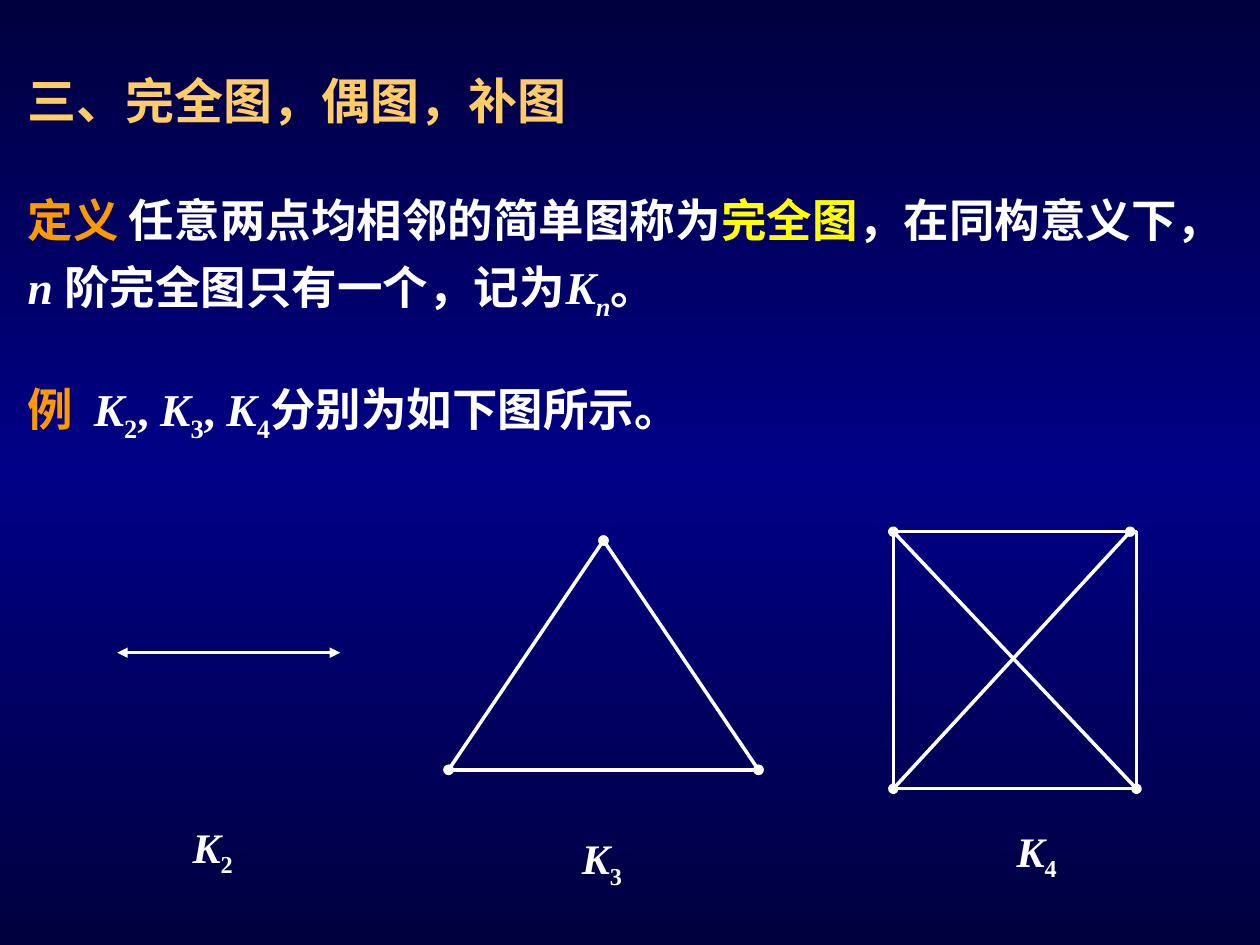
from itertools import combinations

from pptx import Presentation
from pptx.dml.color import RGBColor
from pptx.enum.shapes import MSO_CONNECTOR, MSO_SHAPE
from pptx.enum.text import MSO_ANCHOR, MSO_AUTO_SIZE, PP_ALIGN
from pptx.oxml.ns import qn
from pptx.util import Inches, Pt
from copy import deepcopy
from lxml.etree import SubElement

WHITE = RGBColor(0xFF, 0xFF, 0xFF)
GOLD = RGBColor(0xFF, 0xCC, 0x66)
ORANGE = RGBColor(0xFF, 0x99, 0x00)
YELLOW = RGBColor(0xFF, 0xFF, 0x00)
NAVY = RGBColor(0x00, 0x00, 0x3E)
BLUE = RGBColor(0x00, 0x00, 0x86)
SANS = "Noto Sans CJK SC"
SERIF = "Times New Roman"


class Deck:
    width = Pt(2)
    ink = WHITE

    def __init__(self, slide):
        self.slide = slide

    def back(self, colors):
        fill = self.slide.background.fill
        fill.gradient()
        fill.gradient_angle = 90
        stops = self.slide.element.find(".//" + qn("a:gsLst"))
        while len(stops) < len(colors):
            stops.append(deepcopy(stops[-1]))
        for i, (stop, color) in enumerate(zip(fill.gradient_stops, colors)):
            stop.color.rgb = color
            stop.position = i / (len(colors) - 1)

    def style(self, run, size, color=WHITE, face=SANS, slant=False, sub=False):
        font = run.font
        font.size = Pt(size)
        font.bold = True
        font.italic = slant
        font.name = face
        font.color.rgb = color
        props = font._element
        SubElement(props, qn("a:ea")).set("typeface", SANS)
        if sub:
            props.set("baseline", "-25000")

    def place(self, shape, box):
        shape.left, shape.top, shape.width, shape.height = map(Inches, box)

    def title(self, box, text, size, color):
        shape = self.slide.shapes.title
        self.place(shape, box)
        frame = shape.text_frame
        frame.text = text
        frame.word_wrap = True
        frame.auto_size = MSO_AUTO_SIZE.NONE
        frame.vertical_anchor = MSO_ANCHOR.TOP
        para = frame.paragraphs[0]
        para.alignment = PP_ALIGN.LEFT
        self.style(para.runs[0], size, color)

    def text(self, box, parts, size, lead=None, before=None):
        frame = self.slide.shapes.add_textbox(*map(Inches, box)).text_frame
        frame.word_wrap = True
        para = frame.paragraphs[0]
        para.line_spacing = lead
        para.space_before = before
        for words, look in parts:
            run = para.add_run()
            run.text = words
            self.style(run, size, **look)

    def line(self, start, end, tip):
        shape = self.slide.shapes.add_connector(
            MSO_CONNECTOR.STRAIGHT, *map(Inches, start + end))
        shape.line.color.rgb = self.ink
        shape.line.width = self.width
        edge = shape.line._get_or_add_ln()
        for tag in ("a:headEnd", "a:tailEnd"):
            SubElement(edge, qn(tag)).set("type", tip)
        SubElement(shape._element.spPr, qn("a:effectLst"))

    def frame(self, box):
        shape = self.slide.shapes.add_shape(MSO_SHAPE.RECTANGLE, *map(Inches, box))
        shape.shadow.inherit = False
        shape.fill.background()
        shape.line.color.rgb = self.ink
        shape.line.width = self.width


VAR = {"face": SERIF, "slant": True}
SUB = {"face": SERIF, "sub": True}
ROMAN = {"face": SERIF}


def graph(order):
    return [("K", VAR), (str(order), SUB)]


def main():
    prs = Presentation()
    prs.slide_width, prs.slide_height = Inches(10), Inches(7.5)
    deck = Deck(prs.slides.add_slide(prs.slide_layouts[5]))
    deck.back([NAVY, BLUE, NAVY])
    deck.title((0.12, 0.51, 5.83, 0.57), "三、完全图，偶图，补图", 28, GOLD)

    deck.text((0.12, 1.39, 9.45, 1.21), [
        ("定义", {"color": ORANGE}),
        (" 任意两点均相邻的简单图称为", {}),
        ("完全图", {"color": YELLOW}),
        ("，在同构意义下，", {}),
        ("n ", VAR),
        ("阶完全图只有一个，记为", ROMAN),
        ("K", VAR),
        ("n", {**VAR, "sub": True}),
        ("。", ROMAN),
    ], 26, lead=1.2)

    comma = [(", ", ROMAN)]
    deck.text((0.12, 2.88, 8.19, 0.69), [
        ("例  ", {"face": SERIF, "color": ORANGE}),
        *graph(2), *comma, *graph(3), *comma, *graph(4),
        ("分别为如下图所示", ROMAN),
        ("。", {}),
    ], 26, lead=1.2)

    deck.line((0.93, 5.18), (2.7, 5.18), "triangle")

    for start, end in combinations([(3.56, 6.11), (4.79, 4.29), (6.02, 6.11)], 2):
        deck.line(start, end, "oval")

    left, top, right, base = 7.09, 4.22, 9.02, 6.26
    deck.frame((left, top, right - left, base - top))
    deck.line((left, top), (right, base), "oval")
    deck.line((left, base), (8.97, top), "oval")

    for order, x, y, wide in [(2, 1.43, 6.47, 0.69), (3, 4.52, 6.56, 0.62),
                              (4, 7.97, 6.5, 0.71)]:
        deck.text((x, y, wide, 0.56), graph(order), 24, before=Pt(15))

    prs.save("out.pptx")


if __name__ == "__main__":
    main()
